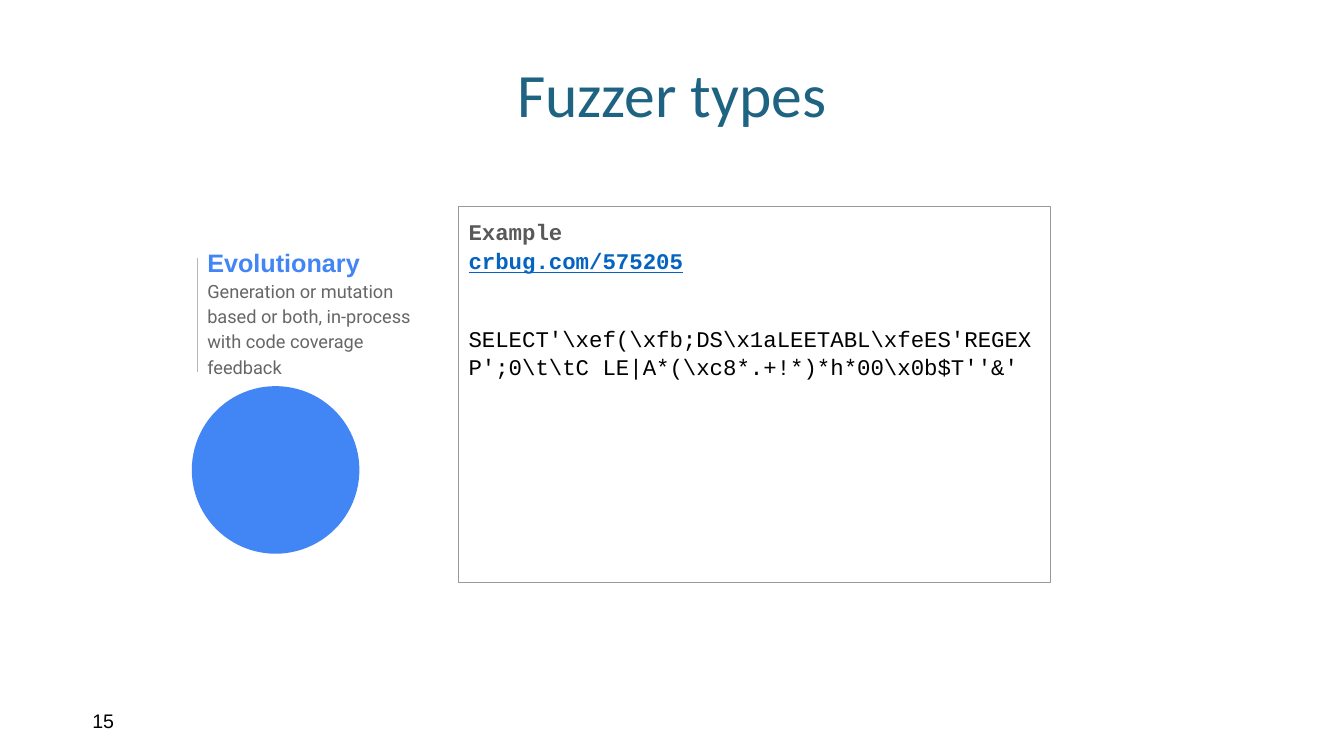
from lxml import etree
from pptx import Presentation
from pptx.dml.color import RGBColor
from pptx.enum.shapes import MSO_CONNECTOR as Connector, MSO_SHAPE as Shape
from pptx.enum.text import MSO_ANCHOR as Anchor, PP_ALIGN as Align
from pptx.oxml.ns import qn
from pptx.util import Pt

TEAL = RGBColor(0x1F, 0x63, 0x83)
BLUE = RGBColor(0x42, 0x85, 0xF4)
LINK_BLUE = RGBColor(0x05, 0x63, 0xC1)
BLACK = RGBColor(0x00, 0x00, 0x00)
DARK_GREY = RGBColor(0x59, 0x59, 0x59)
GREY = RGBColor(0x66, 0x66, 0x66)
BORDER_GREY = RGBColor(0x99, 0x99, 0x99)
RULE_GREY = RGBColor(0xB7, 0xB7, 0xB7)

CRASH_INPUT = r"SELECT'\xef(\xfb;DS\x1aLEETABL\xfeES'REGEXP';0\t\tC LE|A*(\xc8*.+!*)*h*00\x0b$T''&'"


def set_frame(shape, insets, anchor=Anchor.TOP):
    """Wrap the text of a shape and set its insets and anchor."""
    frame = shape.text_frame
    frame.word_wrap = True
    frame.vertical_anchor = anchor
    frame.margin_left, frame.margin_top, frame.margin_right, frame.margin_bottom = map(Pt, insets)
    return frame


def add_line(frame, text, font, size, color, bold=False, underline=False,
             align=Align.LEFT, spacing=1.0, before=0):
    """Write one paragraph, using the first one while it is empty."""
    para = frame.paragraphs[0] if not frame.text else frame.add_paragraph()
    para.alignment, para.line_spacing, para.space_before = align, spacing, Pt(before)
    span = para.add_run()
    span.text = text
    span.font.name, span.font.size, span.font.color.rgb = font, Pt(size), color
    span.font.bold, span.font.underline = bold, underline


def add_title(page, left, top, width, height):
    """Place the centred slide title."""
    box = page.shapes.add_textbox(Pt(left), Pt(top), Pt(width), Pt(height))
    frame = set_frame(box, (7.2, 0, 7.2, 3.6))
    add_line(frame, "Fuzzer types", "Calibri", 44, TEAL, align=Align.CENTER, spacing=0.9)


def add_page_number(page, left, top, width, height):
    """Place the slide number."""
    box = page.shapes.add_textbox(Pt(left), Pt(top), Pt(width), Pt(height))
    frame = set_frame(box, (0, 3.6, 7.2, 3.6), Anchor.MIDDLE)
    add_line(frame, "15", "Arial", 14, BLACK)


def add_fuzzer_type(page, left, top, width, height):
    """Place the described fuzzer type with its side rule and circle."""
    rule = page.shapes.add_connector(
        Connector.STRAIGHT, Pt(left), Pt(top + 15), Pt(left), Pt(top + 96.5))
    rule.line.color.rgb, rule.line.width = RULE_GREY, Pt(0.75)
    etree.SubElement(rule._element.spPr, qn("a:effectLst"))

    diameter = 119.7
    circle = page.shapes.add_shape(
        Shape.OVAL, Pt(left - 4), Pt(top + height - diameter), Pt(diameter), Pt(diameter))
    circle.shadow.inherit = False
    circle.fill.solid()
    circle.fill.fore_color.rgb = BLUE
    circle.line.fill.background()

    box = page.shapes.add_textbox(Pt(left), Pt(top), Pt(width), Pt(26))
    frame = set_frame(box, (7.2,) * 4)
    add_line(frame, "Evolutionary", "Arial", 18, BLUE, bold=True)
    add_line(frame, "Generation or mutation based or both, in-process with code coverage feedback",
             "Roboto", 13, GREY, spacing=1.15)


def add_example(page, left, top, width, height):
    """Place the framed example of a fuzzer input."""
    panel = page.shapes.add_shape(Shape.RECTANGLE, Pt(left), Pt(top), Pt(width), Pt(height))
    panel.shadow.inherit = False
    panel.fill.background()
    panel.line.color.rgb, panel.line.width = BORDER_GREY, Pt(0.75)
    frame = set_frame(panel, (7.2,) * 4)
    style = {"font": "Courier New", "size": 16, "spacing": 1.06}
    add_line(frame, "Example", color=DARK_GREY, bold=True, **style)
    add_line(frame, "crbug.com/575205", color=LINK_BLUE, bold=True, underline=True, **style)
    add_line(frame, CRASH_INPUT, color=BLACK, before=35.7, **style)


def main():
    """Build and save the slide."""
    deck = Presentation()
    deck.slide_width, deck.slide_height = Pt(960), Pt(540)
    page = deck.slides.add_slide(deck.slide_layouts[6])
    add_title(page, 66, 46, 828, 87)
    add_page_number(page, 66, 500.5, 216, 28.75)
    add_fuzzer_type(page, 141, 169.2, 162, 226.3)
    add_example(page, 327.6, 147.6, 422.8, 268.6)
    deck.save("out.pptx")


if __name__ == "__main__":
    main()
